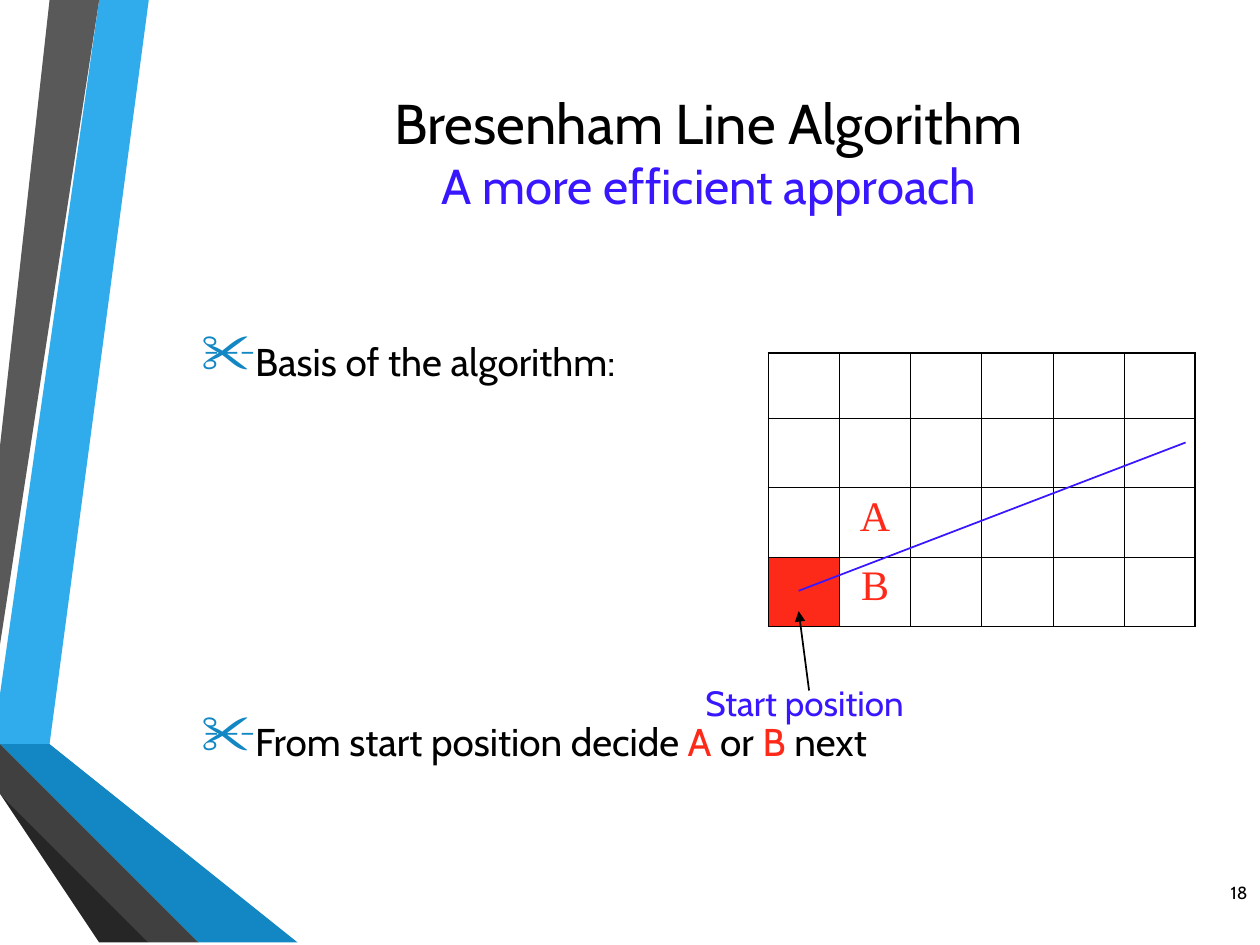
from dataclasses import dataclass

from lxml.etree import SubElement
from pptx import Presentation
from pptx.dml.color import RGBColor
from pptx.enum.shapes import MSO_CONNECTOR
from pptx.enum.text import MSO_ANCHOR, MSO_AUTO_SIZE, PP_ALIGN
from pptx.oxml.ns import qn
from pptx.util import Cm, Pt

BLACK, VIOLET, RED, BLUE = "000000", "3817FF", "FD2919", "1287C3"
ROWS, COLUMNS = 4, 6


@dataclass(frozen=True)
class Ribbon:
    color: str
    points: list[tuple[float, float]]


@dataclass(frozen=True)
class Stroke:
    color: str
    start: tuple[float, float]
    end: tuple[float, float]
    arrow: bool = False


@dataclass(frozen=True)
class Bullet:
    spans: list[tuple[str, str]]
    space_before: float


RIBBONS = [
    Ribbon("30ACEC", [(0, 13.82), (0, 14.61), (0.56, 14.71), (2.97, 0), (2.26, 0)]),
    Ribbon("595959", [(2.11, 0), (1.4, 0), (0, 8.53), (0, 12.85)]),
    Ribbon("262626", [(0, 15.72), (0, 15.77), (2.36, 19.05), (2.51, 19.05)]),
    Ribbon("0C5A82", [(0, 14.71), (0, 14.73), (3.96, 19.05), (4.14, 19.05)]),
    Ribbon(BLUE, [(0, 14.71), (4.14, 19.05), (5.92, 19.05), (0.56, 14.71), (0, 14.61)]),
    Ribbon("404040", [(0, 15.72), (2.51, 19.05), (3.84, 19.05), (0, 14.88)]),
]
STROKES = [
    Stroke(VIOLET, (16.1, 11.91), (23.9, 8.92)),
    Stroke(BLACK, (16.31, 13.92), (16.1, 12.32), arrow=True),
]
BULLETS = [
    Bullet([("Basis of the algorithm:", BLACK)], 6.5),
    Bullet([("From start position decide ", BLACK), ("A", RED), (" or ", BLACK),
            ("B", RED), (" next", BLACK)], 193),
]
CELL_LETTERS = {(2, 1): "A", (3, 1): "B"}
START_CELL = (3, 0)


def rgb(color: str) -> RGBColor:
    return RGBColor.from_string(color)


def add_span(para, text: str, *, size: float, color: str, font: str = "Cabin") -> None:
    span = para.add_run()
    span.text = text
    span.font.size = Pt(size)
    span.font.name = font
    span.font.color.rgb = rgb(color)


def add_box(page, left: float, top: float, width: float, height: float,
            *, anchor=MSO_ANCHOR.TOP, wrap: bool = True):
    box = page.shapes.add_textbox(Cm(left), Cm(top), Cm(width), Cm(height))
    frame = box.text_frame
    frame.word_wrap = wrap
    frame.auto_size = MSO_AUTO_SIZE.NONE if wrap else MSO_AUTO_SIZE.SHAPE_TO_FIT_TEXT
    frame.vertical_anchor = anchor
    return frame


def add_ribbon(page, ribbon: Ribbon) -> None:
    start, *others = ribbon.points
    builder = page.shapes.build_freeform(*start, scale=Cm(1))
    builder.add_line_segments(others, close=True)
    shape = builder.convert_to_shape()
    shape.shadow.inherit = False
    shape.fill.solid()
    shape.fill.fore_color.rgb = rgb(ribbon.color)
    shape.line.fill.background()


def add_stroke(page, stroke: Stroke) -> None:
    ends = [Cm(length) for length in stroke.start + stroke.end]
    connector = page.shapes.add_connector(MSO_CONNECTOR.STRAIGHT, *ends)
    connector.line.color.rgb = rgb(stroke.color)
    connector.line.width = Pt(1)
    if stroke.arrow:
        SubElement(connector.line._get_or_add_ln(), qn("a:tailEnd"), type="triangle")
    SubElement(connector._element.spPr, qn("a:effectLst"))


def fill_title(title) -> None:
    title.left, title.top = Cm(3.81), Cm(1.47)
    title.width, title.height = Cm(20.96), Cm(3.18)
    frame = title.text_frame
    frame.auto_size = MSO_AUTO_SIZE.NONE
    frame.vertical_anchor = MSO_ANCHOR.MIDDLE
    para = frame.paragraphs[0]
    para.alignment = PP_ALIGN.CENTER
    add_span(para, "Bresenham Line Algorithm", size=32, color=BLACK)
    para.add_line_break()
    add_span(para, "A more efficient approach", size=28, color=VIOLET)


def add_bullets(page, bullets: list[Bullet]) -> None:
    frame = add_box(page, 3.81, 5.51, 20.7, 11.43, anchor=MSO_ANCHOR.MIDDLE)
    for index, bullet in enumerate(bullets):
        para = frame.add_paragraph() if index else frame.paragraphs[0]
        para.line_spacing = 0.7
        para.space_before = Pt(bullet.space_before)
        para.space_after = Pt(6)
        properties = para._p.get_or_add_pPr()
        properties.set("marL", str(Cm(0.79)))
        properties.set("indent", str(-Cm(0.79)))
        SubElement(SubElement(properties, qn("a:buClr")), qn("a:srgbClr"), val=BLUE)
        SubElement(properties, qn("a:buSzPct"), val="145000")
        SubElement(properties, qn("a:buChar"), char="✂")
        for text, color in bullet.spans:
            add_span(para, text, size=22.1, color=color)


def set_borders(cell, row: int, column: int) -> None:
    outer = {"a:lnL": column == 0, "a:lnR": column == COLUMNS - 1,
             "a:lnT": row == 0, "a:lnB": row == ROWS - 1}
    properties = cell._tc.get_or_add_tcPr()
    for index, (tag, is_outer) in enumerate(outer.items()):
        border = SubElement(properties, qn(tag), w=str(Pt(1.08 if is_outer else 0.45)))
        SubElement(SubElement(border, qn("a:solidFill")), qn("a:srgbClr"), val=BLACK)
        properties.insert(index, border)


def add_pixel_grid(page) -> None:
    table = page.shapes.add_table(ROWS, COLUMNS, Cm(15.49), Cm(7.11), Cm(8.61), Cm(5.52)).table
    table.first_row = table.horz_banding = False
    for column in table.columns:
        column.width = Cm(8.61 / COLUMNS)
    for index, row in enumerate(table.rows):
        row.height = Cm(1.4 if index else 1.32)
    for row in range(ROWS):
        for column in range(COLUMNS):
            cell = table.cell(row, column)
            if (row, column) == START_CELL:
                cell.fill.solid()
                cell.fill.fore_color.rgb = rgb(RED)
            else:
                cell.fill.background()
            set_borders(cell, row, column)
            if letter := CELL_LETTERS.get((row, column)):
                para = cell.text_frame.paragraphs[0]
                para.alignment = PP_ALIGN.CENTER
                add_span(para, letter, size=24, color=RED, font="Times New Roman")


def build() -> None:
    deck = Presentation()
    deck.slide_width, deck.slide_height = Cm(25.4), Cm(19.05)
    page = deck.slides.add_slide(deck.slide_layouts[5])
    for ribbon in RIBBONS:
        add_ribbon(page, ribbon)
    fill_title(page.shapes.title)
    add_bullets(page, BULLETS)
    add_pixel_grid(page)

    number = add_box(page, 20.12, 17.35, 5.28, 1.27, anchor=MSO_ANCHOR.MIDDLE).paragraphs[0]
    number.alignment = PP_ALIGN.RIGHT
    add_span(number, "18", size=10, color=BLACK)

    for stroke in STROKES:
        add_stroke(page, stroke)
    label = add_box(page, 13.97, 13.61, 4.95, 1.12, wrap=False).paragraphs[0]
    add_span(label, "Start position", size=20, color=VIOLET)
    deck.save("out.pptx")


build()
